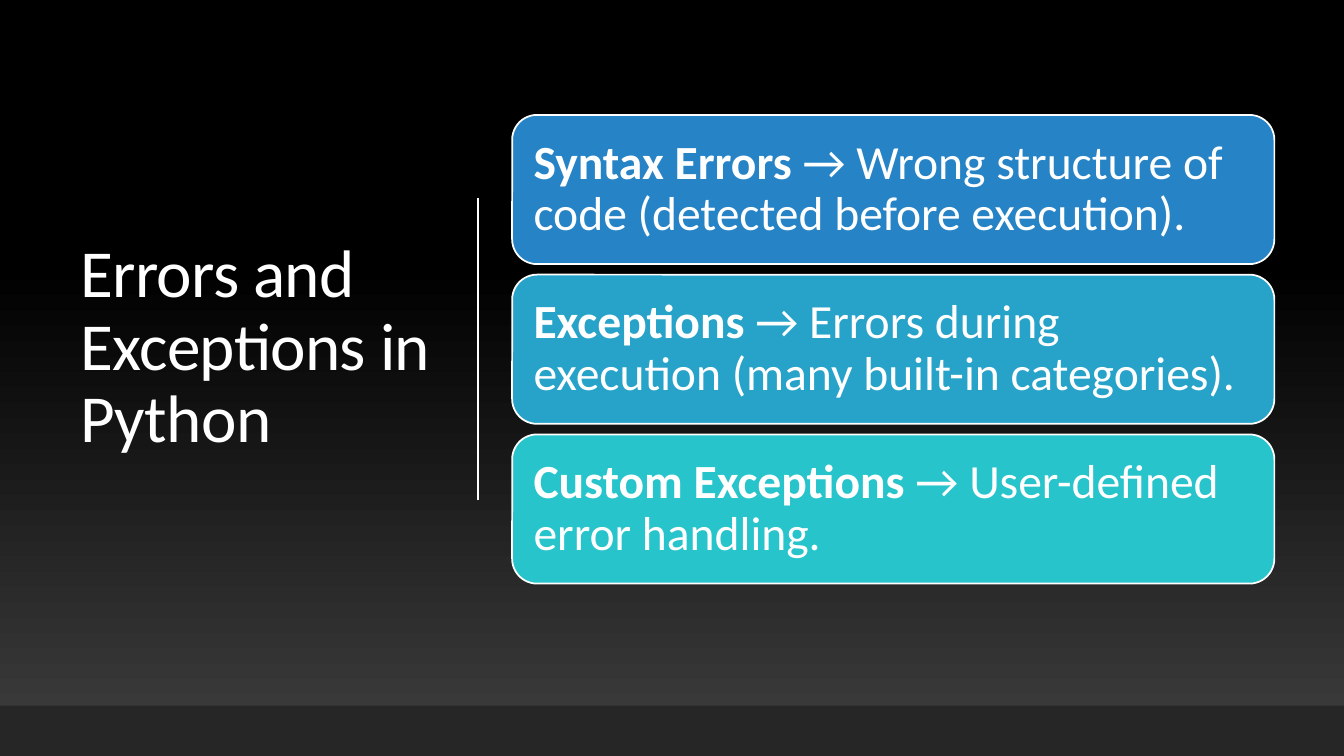
from lxml.etree import SubElement
from pptx import Presentation
from pptx.dml.color import RGBColor
from pptx.enum.shapes import MSO_CONNECTOR, MSO_SHAPE
from pptx.enum.text import MSO_ANCHOR, PP_ALIGN
from pptx.oxml.ns import qn
from pptx.util import Inches, Pt

# Content
TITLE = "Errors and Exceptions in Python"
CARDS = [
    ("Syntax Errors", " → Wrong structure of code (detected before execution).", "2683C6"),
    ("Exceptions", " → Errors during execution (many built-in categories).", "27A3C9"),
    ("Custom Exceptions", " → User-defined error handling.", "28C4CC"),
]

# Layout in inches
SLIDE_WIDTH, SLIDE_HEIGHT = 13.33, 7.5
FOOTER_HEIGHT = 0.5
CARD_LEFT, CARD_TOP, CARD_WIDTH, CARD_HEIGHT = 5.08, 1.14, 7.56, 1.48
CARD_PITCH = 1.585

FONT = "Calibri"
WHITE = "FFFFFF"


def color(value):
    return RGBColor.from_string(value)


def fill_gradient(fill):
    fill.gradient()
    fill.gradient_angle = 90
    for stop, (position, value) in zip(fill.gradient_stops, [(0, "3F3F3F"), (0.65, "000000")]):
        stop.position = position
        stop.color.rgb = color(value)


def add_box(slide, kind, left, top, width, height, fill=None, line=None):
    shape = slide.shapes.add_shape(kind, Inches(left), Inches(top), Inches(width), Inches(height))
    shape.shadow.inherit = False
    if fill:
        shape.fill.solid()
        shape.fill.fore_color.rgb = color(fill)
    else:
        fill_gradient(shape.fill)
    if line:
        shape.line.color.rgb = color(line)
        shape.line.width = Pt(1.25)
    else:
        shape.line.fill.background()
    return shape


def write_text(shape, runs, size, side_inset=0.1, inset=0.05, spacing=None):
    """Write (text, bold) runs as one left-aligned paragraph."""
    frame = shape.text_frame
    frame.word_wrap = True
    frame.vertical_anchor = MSO_ANCHOR.MIDDLE
    frame.margin_left = frame.margin_right = Inches(side_inset)
    frame.margin_top = frame.margin_bottom = Inches(inset)
    paragraph = frame.paragraphs[0]
    paragraph.alignment = PP_ALIGN.LEFT
    paragraph.line_spacing = 0.9
    for text, bold in runs:
        run = paragraph.add_run()
        run.text = text
        run.font.name = FONT
        run.font.size = Pt(size)
        run.font.bold = bold
        run.font.color.rgb = color(WHITE)
        if spacing:
            run.font._element.set("spc", str(round(spacing * 100)))


def main():
    presentation = Presentation()
    presentation.slide_width = Inches(SLIDE_WIDTH)
    presentation.slide_height = Inches(SLIDE_HEIGHT)
    slide = presentation.slides.add_slide(presentation.slide_layouts[6])

    # Backdrop
    fill_gradient(slide.background.fill)
    add_box(slide, MSO_SHAPE.RECTANGLE, 0, 0, SLIDE_WIDTH, SLIDE_HEIGHT)

    # Title and divider
    title = slide.shapes.add_textbox(Inches(0.7), Inches(0.69), Inches(3.69), Inches(5.53))
    write_text(title, [(TITLE, False)], size=48, spacing=-0.5)
    divider = slide.shapes.add_connector(
        MSO_CONNECTOR.STRAIGHT, Inches(4.74), Inches(1.96), Inches(4.74), Inches(4.96))
    divider.line.color.rgb = color(WHITE)
    divider.line.width = Pt(1)
    SubElement(divider._element.spPr, qn("a:effectLst"))

    # Footer band
    add_box(slide, MSO_SHAPE.RECTANGLE, 0, SLIDE_HEIGHT - FOOTER_HEIGHT,
            SLIDE_WIDTH, FOOTER_HEIGHT, fill="262626")

    # Cards
    for index, (term, meaning, fill) in enumerate(CARDS):
        card = add_box(slide, MSO_SHAPE.ROUNDED_RECTANGLE, CARD_LEFT, CARD_TOP + index * CARD_PITCH,
                       CARD_WIDTH, CARD_HEIGHT, fill=fill, line=WHITE)
        write_text(card, [(term, True), (meaning, False)], size=34, side_inset=0.14, inset=0.14)

    presentation.save("out.pptx")


if __name__ == "__main__":
    main()
